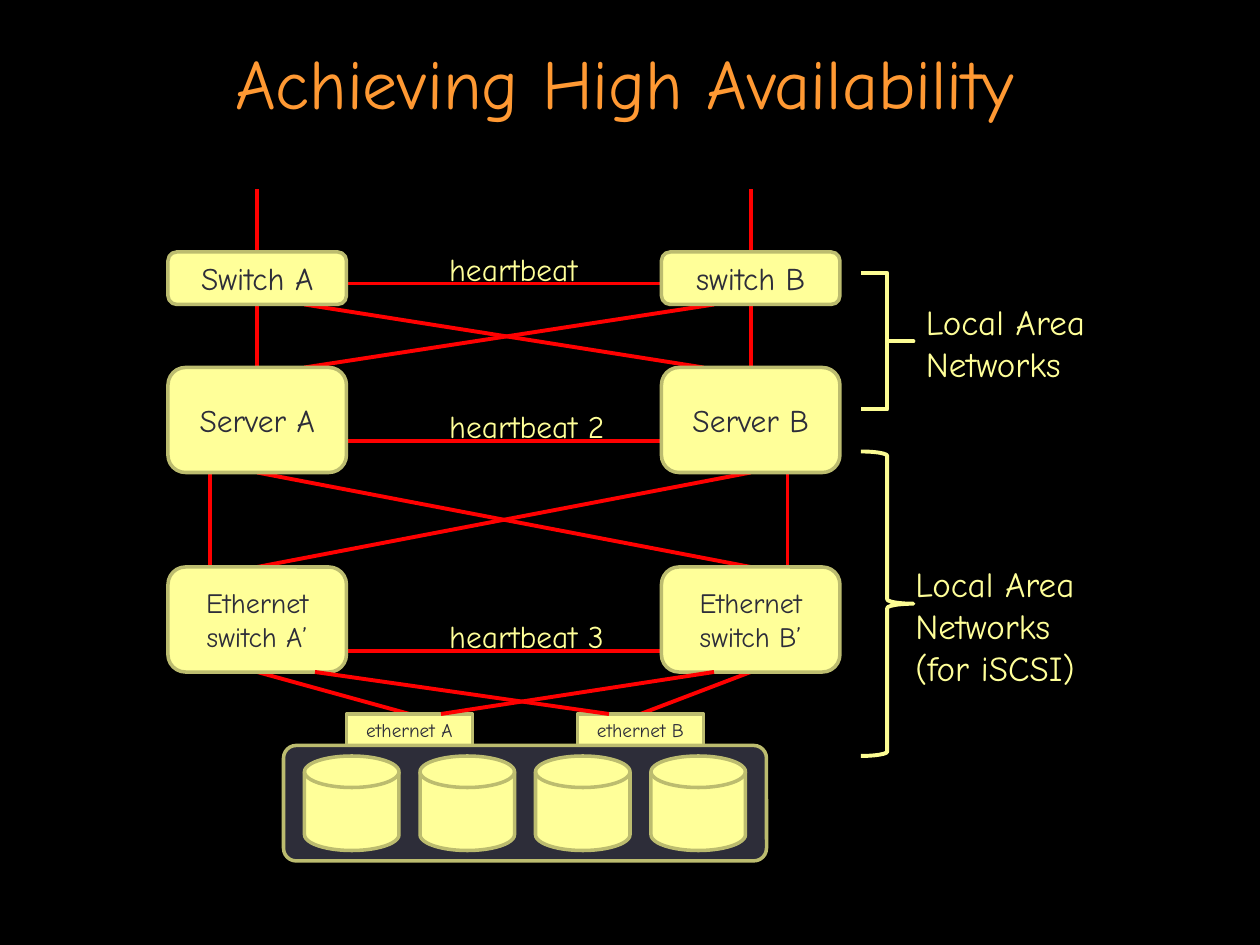
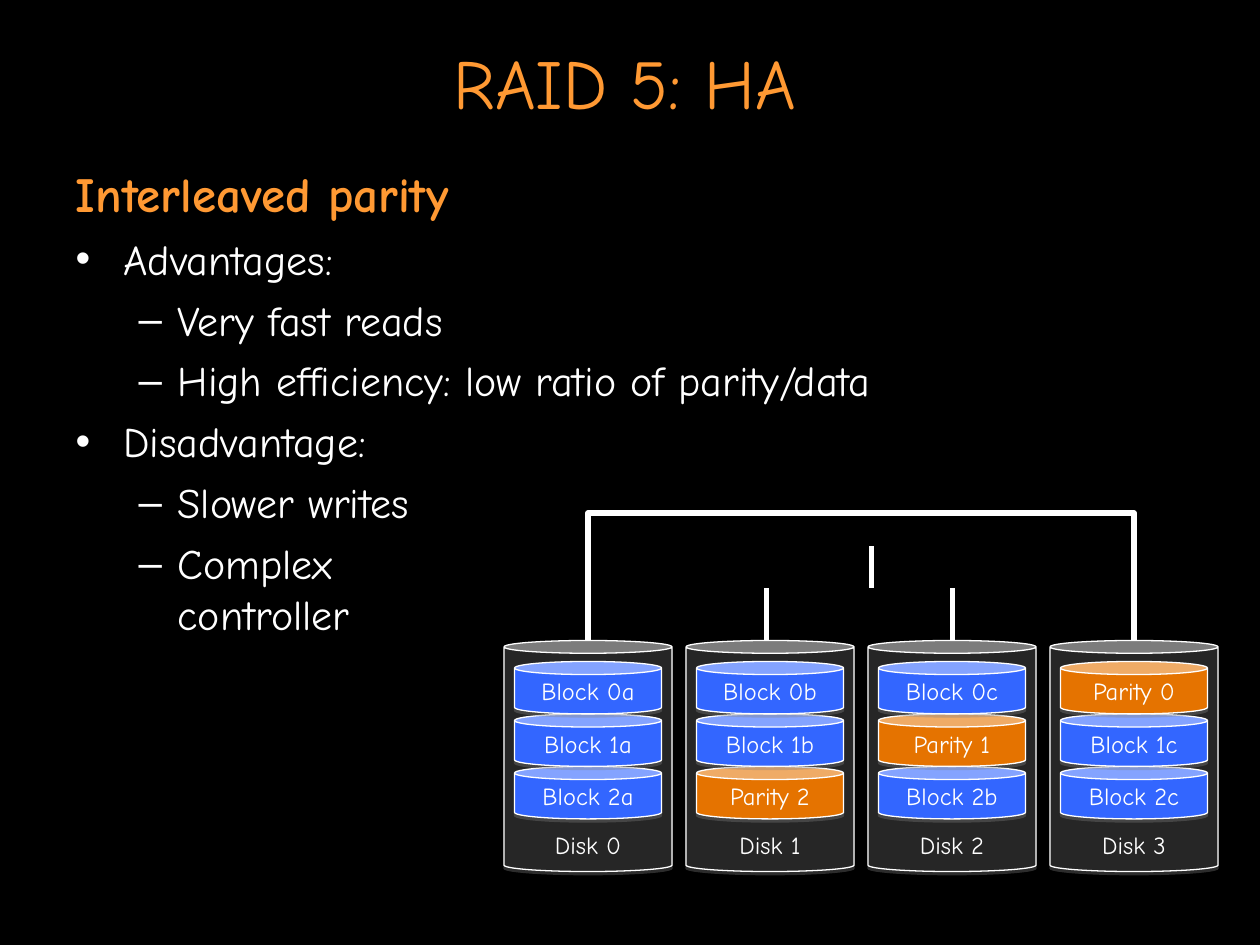
from copy import deepcopy

from lxml import etree
from pptx import Presentation
from pptx.dml.color import RGBColor
from pptx.enum.shapes import MSO_CONNECTOR, MSO_SHAPE
from pptx.enum.text import MSO_ANCHOR, MSO_AUTO_SIZE, PP_ALIGN
from pptx.oxml.ns import qn
from pptx.util import Inches, Pt

STRAIGHT = MSO_CONNECTOR.STRAIGHT
ROUND, RECT = MSO_SHAPE.ROUNDED_RECTANGLE, MSO_SHAPE.RECTANGLE
DRUM, CAN, BRACE = MSO_SHAPE.FLOWCHART_MAGNETIC_DISK, MSO_SHAPE.CAN, MSO_SHAPE.RIGHT_BRACE
TOP, MIDDLE, BOTTOM = MSO_ANCHOR.TOP, MSO_ANCHOR.MIDDLE, MSO_ANCHOR.BOTTOM
LEFT, CENTER = PP_ALIGN.LEFT, PP_ALIGN.CENTER
FIXED, GROW = MSO_AUTO_SIZE.NONE, MSO_AUTO_SIZE.SHAPE_TO_FIT_TEXT
SIDE_TOP, SIDE_BOTTOM = 0, 2

FONT = "Comic Neue"
COLORS = {
    "background": "000000", "title": "FF9933", "text": "FFFFFF", "label": "FFFF99",
    "node": "FFFF99", "edge": "BCBC6F", "ink": "2D2D39", "link": "FF0000",
    "brace": "FCFC93", "disk": "262626", "block": "3366FF", "parity": "E57300",
    "shadow": "808080",
}
COLUMNS, ROWS = 120, 90
SLIDE_W, SLIDE_H = Inches(10), Inches(7.5)


def col(n):
    return round(SLIDE_W * n / COLUMNS)


def row(n):
    return round(SLIDE_H * n / ROWS)


def place(x, y, w, h):
    return col(x), row(y), col(w), row(h)


def rgb(name):
    return RGBColor.from_string(COLORS[name])


def write(tf, *lines, size=18, color="text", bold=False, align=LEFT, anchor=TOP,
          wrap=True, fit=FIXED):
    tf.word_wrap, tf.auto_size, tf.vertical_anchor = wrap, fit, anchor
    for i, line in enumerate(lines):
        p = tf.add_paragraph() if i else tf.paragraphs[0]
        write_paragraph(p, line, size=size, color=color, bold=bold, align=align)


def write_paragraph(p, text, size, color, bold=False, align=LEFT):
    p.text, p.alignment = text, align
    for r in p.runs:
        r.font.name, r.font.size, r.font.bold = FONT, Pt(size), bold
        r.font.color.rgb = rgb(color)
    for br in p._p.findall(qn("a:br")):
        br.insert(0, deepcopy(p.runs[0]._r.rPr))


def style_line(sp, color, width):
    sp.line.color.rgb = rgb(color)
    sp.line.width = Pt(width)


def add_box(slide, kind, box, fill, line, width, adj=None):
    sp = slide.shapes.add_shape(kind, *place(*box))
    sp.shadow.inherit = False
    if fill:
        sp.fill.solid()
        sp.fill.fore_color.rgb = rgb(fill)
    else:
        sp.fill.background()
    style_line(sp, line, width)
    if adj is not None:
        sp.adjustments[0] = adj
    return sp


def add_label(slide, box, *lines, **fmt):
    sp = slide.shapes.add_textbox(*place(*box))
    write(sp.text_frame, *lines, color="label", fit=GROW, **fmt)


def add_line(slide, x1, y1, x2, y2, color="link", width=2.25, behind=False):
    c = slide.shapes.add_connector(STRAIGHT, col(x1), row(y1), col(x2), row(y2))
    style_line(c, color, width)
    etree.SubElement(c._element.spPr, qn("a:effectLst"))
    if behind:
        slide.shapes._spTree.insert(2, c._element)
    return c


def join(slide, upper, lower):
    c = add_line(slide, 0, 0, 0, 0, behind=True)
    c.begin_connect(upper, SIDE_BOTTOM)
    c.end_connect(lower, SIDE_TOP)


def add_slide(prs, layout, title):
    slide = prs.slides.add_slide(prs.slide_layouts[layout])
    sp = slide.shapes.title
    sp.left, sp.top, sp.width, sp.height = place(3, 3.6, 113, 8.4)
    write(sp.text_frame, title, size=40, color="title", align=CENTER, anchor=MIDDLE)
    return slide


def add_node(slide, box, text, size, kind=ROUND):
    sp = add_box(slide, kind, box, "node", "edge", 2)
    write(sp.text_frame, text, size=size, color="ink", align=CENTER, anchor=MIDDLE)
    return sp


def add_pair(slide, x, y, h, names, size, heartbeat, line_dy, label_w):
    w, pitch = 17, 47
    pair = [add_node(slide, (x + i * pitch, y, w, h), name, size)
            for i, name in enumerate(names)]
    line_y = y + line_dy
    add_line(slide, x + w, line_y, x + pitch, line_y, behind=True)
    add_label(slide, (x + 25.6, line_y - 3.8, label_w, 4.8), heartbeat, wrap=False)
    return pair


def add_storage(slide, x, y):
    ports = [add_node(slide, (x + 6 + 22 * i, y, 12, 3), f"ethernet {name}", 11, RECT)
             for i, name in enumerate("AB")]
    add_box(slide, ROUND, (x, y + 3, 46, 11), "ink", "edge", 2, 0.11)
    for i in range(4):
        add_box(slide, DRUM, (x + 2 + 11 * i, y + 4, 9, 9), "node", "edge", 2)
    return ports


def add_network_brace(slide, y, h, bend, label_box, *lines):
    add_box(slide, BRACE, (82, y, 5, h), None, "brace", 2.25, bend)
    add_label(slide, label_box, *lines, size=20)


def availability_slide(prs):
    slide = add_slide(prs, 5, "Achieving High Availability")
    x = 16
    switches = add_pair(slide, x, 24, 5, ("Switch A", "switch B"), 18, "heartbeat", 3, 14.6)
    servers = add_pair(slide, x, 35, 10, ("Server A", "Server B"), 18, "heartbeat 2", 7, 17.2)
    ethernets = add_pair(slide, x, 54, 10, ("Ethernet switch A’", "Ethernet switch B’"),
                         16, "heartbeat 3", 8, 17.2)
    ports = add_storage(slide, 27, 68)

    for i, switch in enumerate(switches):
        center = x + 8.5 + 47 * i
        uplink = add_line(slide, center, 18, center, 24, behind=True)
        uplink.end_connect(switch, SIDE_TOP)
        join(slide, switch, servers[i])
        join(slide, servers[i], ethernets[1 - i])
        join(slide, ethernets[i], ports[i])
    for side in (x + 4, x + 59):
        add_line(slide, side, 45, side, 54, behind=True)
    for ends in ((29, 29, 67, 35), (68, 29, 29, 35)):
        add_line(slide, *ends, behind=True)
    for ends in ((42, 68, 68, 64), (30, 64, 58, 68)):
        add_line(slide, *ends)

    add_network_brace(slide, 26, 13, 0, (87, 28, 27, 9.2), "Local Area Networks")
    add_network_brace(slide, 43, 29, 0.083, (86, 53, 27, 13.2),
                      "Local Area Networks", "(for iSCSI)")


def set_bullet(p, level, char):
    margin, hang = ((0.38, 0.38), (0.81, 0.31))[level]
    p.level = level
    pPr = p._p.get_or_add_pPr()
    pPr.set("marL", str(Inches(margin)))
    pPr.set("indent", str(-Inches(hang)))
    if char:
        color = etree.SubElement(pPr, qn("a:buClr"))
        etree.SubElement(color, qn("a:srgbClr"), val=COLORS["text"])
        etree.SubElement(pPr, qn("a:buChar"), char=char)
    else:
        etree.SubElement(pPr, qn("a:buNone"))


def add_list(slide, box, heading, items):
    sp = slide.placeholders[1]
    sp.left, sp.top, sp.width, sp.height = place(*box)
    tf = sp.text_frame
    write(tf, heading, size=28, color="title", bold=True)
    set_bullet(tf.paragraphs[0], 0, None)
    tf.paragraphs[0].space_before = Pt(0)
    for level, text in items:
        p = tf.add_paragraph()
        set_bullet(p, level, "•–"[level])
        write_paragraph(p, text, size=24, color="text")
        p.space_before = Pt(6)


def add_can(slide, box, text, fill, adj, anchor):
    sp = add_box(slide, CAN, box, fill, "text", 0.75, adj)
    shadow = etree.SubElement(sp._element.spPr.find(qn("a:effectLst")), qn("a:outerShdw"),
                              dist=str(Pt(1.8)), dir="5400000", rotWithShape="0")
    color = etree.SubElement(shadow, qn("a:srgbClr"), val=COLORS["shadow"])
    etree.SubElement(color, qn("a:alpha"), val="35000")
    write(sp.text_frame, text, size=14, align=CENTER, anchor=anchor)


def add_disk(slide, x, y, name, blocks):
    add_can(slide, (x, y, 16, 22), name, "disk", 0.076, BOTTOM)
    for i in reversed(range(len(blocks))):
        fill = "parity" if blocks[i].startswith("Parity") else "block"
        add_can(slide, (x + 1, y + 2 + 5 * i, 14, 5), blocks[i], fill, 0.25, MIDDLE)


def add_array(slide, x, y, disks):
    pitch = 52 / 3
    for i, blocks in enumerate(disks):
        add_disk(slide, x + pitch * i, y, f"Disk {i}", blocks)
    first, last, bus_y = x + 8, x + 60, y - 12.15
    fb = slide.shapes.build_freeform(col(first), row(y))
    fb.add_line_segments([(col(first), row(bus_y)), (col(last), row(bus_y)),
                          (col(last), row(y))], close=False)
    bus = fb.convert_to_shape()
    bus.shadow.inherit = False
    bus.fill.background()
    style_line(bus, "text", 3)
    for dx, bottom, top in ((25, 0, -5), (42.7, 0, -5), (35, -5, -9)):
        add_line(slide, x + dx, y + bottom, x + dx, y + top, color="text", width=3)


def raid_slide(prs):
    slide = add_slide(prs, 1, "RAID 5: HA")
    add_list(slide, (6, 15, 108, 68), "Interleaved parity", [
        (0, "Advantages:"),
        (1, "Very fast reads"),
        (1, "High efficiency: low ratio of parity/data"),
        (0, "Disadvantage:"),
        (1, "Slower writes"),
        (1, "Complex\vcontroller"),
    ])
    add_array(slide, 48, 61, [
        ("Block 0a", "Block 1a", "Block 2a"),
        ("Block 0b", "Block 1b", "Parity 2"),
        ("Block 0c", "Parity 1", "Block 2b"),
        ("Parity 0", "Block 1c", "Block 2c"),
    ])


def main():
    prs = Presentation()
    prs.slide_width, prs.slide_height = SLIDE_W, SLIDE_H
    fill = prs.slide_master.background.fill
    fill.solid()
    fill.fore_color.rgb = rgb("background")
    availability_slide(prs)
    raid_slide(prs)
    prs.save("out.pptx")


if __name__ == "__main__":
    main()
